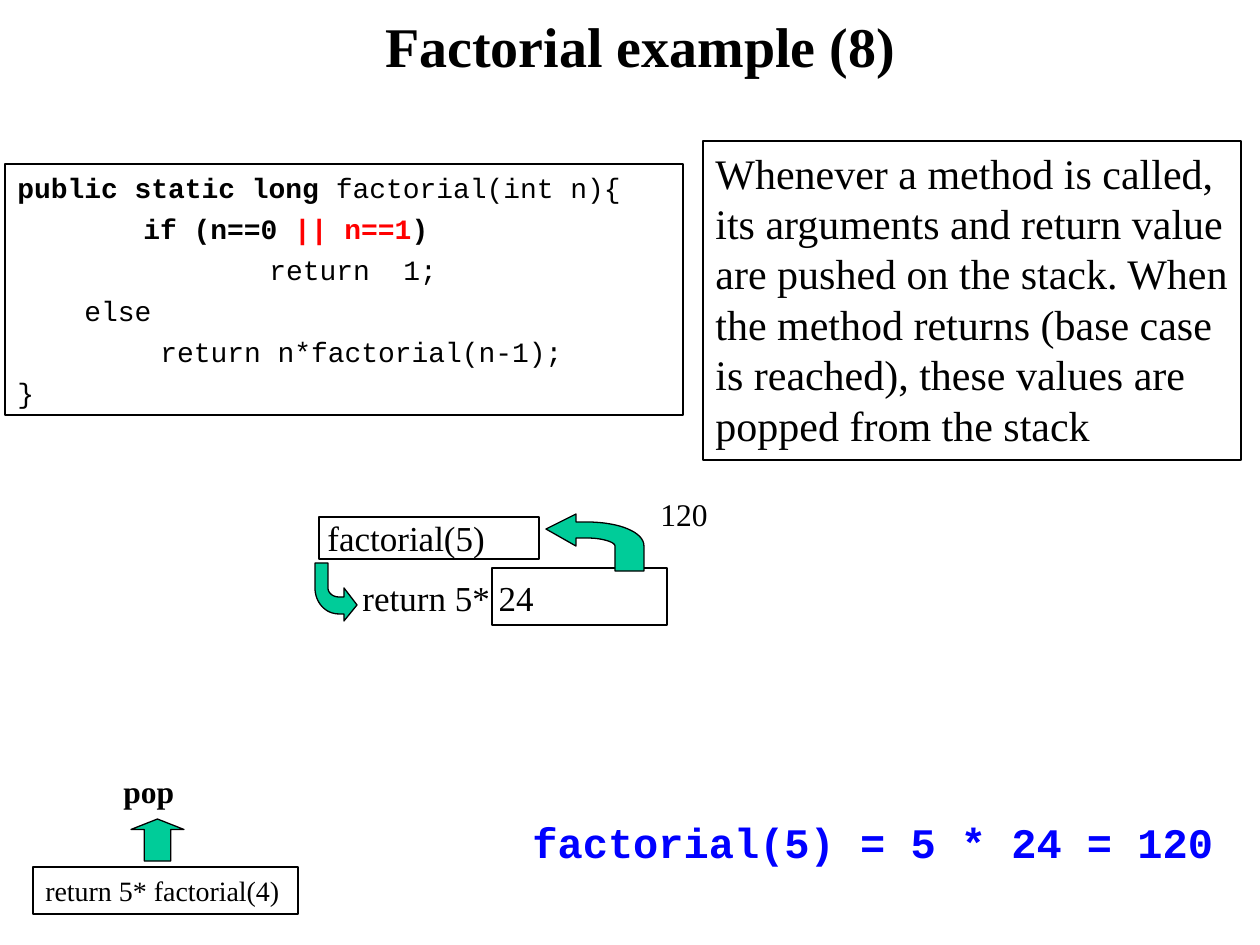
from pptx import Presentation
from pptx.dml.color import RGBColor
from pptx.enum.shapes import MSO_SHAPE as SHAPE
from pptx.enum.text import MSO_ANCHOR as ANCHOR, PP_ALIGN as ALIGN
from pptx.util import Emu, Pt

SCALE = 914400 / 126
COLORS = {"black": "000000", "white": "FFFFFF", "red": "FF0000",
          "blue": "0000FF", "green": "00CC99"}
SERIF, MONO = "Times New Roman", "Courier New"


def px(n):
    return Emu(round(n * SCALE))


def rgb(name):
    return RGBColor.from_string(COLORS[name])


def add_run(p, text, size, font=SERIF, color="black", bold=False):
    r = p.add_run()
    r.text = text
    r.font.size, r.font.name, r.font.bold = Pt(size), font, bold
    r.font.color.rgb = rgb(color)


def add_line(tf, runs, size, font=SERIF, before=0, indent=0, align=ALIGN.LEFT):
    """Add a paragraph; runs are (text, color, bold)."""
    p = tf.paragraphs[0] if not tf.paragraphs[0].runs else tf.add_paragraph()
    p.alignment, p.space_before = align, Pt(before)
    if indent:
        p._p.get_or_add_pPr().set("marL", str(px(indent)))
    for text, color, bold in runs:
        add_run(p, text, size, font, color, bold)


def paint(sp, fill=None, line="black"):
    sp.shadow.inherit = False
    if fill:
        sp.fill.solid()
        sp.fill.fore_color.rgb = rgb(fill)
    else:
        sp.fill.background()
    sp.line.color.rgb = rgb(line)
    sp.line.width = Pt(0.75)


def add_box(slide, x, y, w, h, line="black"):
    sp = slide.shapes.add_shape(SHAPE.RECTANGLE, px(x), px(y), px(w), px(h))
    paint(sp, line=line)
    tf = sp.text_frame
    tf.word_wrap, tf.vertical_anchor = True, ANCHOR.TOP
    return tf


def add_text(slide, x, y, w, h):
    tf = slide.shapes.add_textbox(px(x), px(y), px(w), px(h)).text_frame
    tf.word_wrap = True
    return tf


def curve(a, b, c, d, steps=16):
    """Points along a cubic curve from a to d."""
    points = []
    for i in range(steps + 1):
        t = i / steps
        u = 1 - t
        points.append(tuple(
            u**3 * m + 3 * u * u * t * n + 3 * u * t * t * o + t**3 * q
            for m, n, o, q in zip(a, b, c, d)))
    return points


def add_bent_arrow(slide, head, outer, tail, inner, neck):
    points = [(px(x), px(y)) for x, y in
              head + curve(*outer) + tail + curve(*inner) + neck]
    fb = slide.shapes.build_freeform(*points[0], scale=1.0)
    fb.add_line_segments(points[1:], close=True)
    paint(fb.convert_to_shape(), "green")


def add_title(slide, text):
    title = slide.shapes.title
    title.left, title.top, title.width, title.height = px(105), px(0), px(1071), px(91)
    title.text_frame.vertical_anchor = ANCHOR.MIDDLE
    add_line(title.text_frame, [(text, "black", True)], 32, align=ALIGN.CENTER)


def add_code(slide):
    lines = [
        (0, [("public static long", "black", True),
             (" factorial(int n){", "black", False)]),
        (126, [("if (n==0 ", "black", True), ("|| n==1", "red", True),
               (")", "black", True)]),
        (252, [("return  1;", "black", False)]),
        (67, [("else", "black", False)]),
        (143, [("return n*factorial(n-1);", "black", False)]),
        (0, [("}", "black", False)]),
    ]
    tf = add_box(slide, 5, 164, 678, 251)
    for indent, runs in lines:
        add_line(tf, runs, 16, MONO, before=4.3, indent=indent)


def add_call(slide):
    tf = add_text(slide, 315, 510, 551, 220)
    add_line(tf, [("factorial(5)", "black", False)], 20)
    add_line(tf, [("return 5* 24", "black", False)], 20, before=10.5, indent=35)
    add_box(slide, 492, 568, 175, 57)
    add_box(slide, 319, 517, 220, 42)
    # Call enters the method body
    add_bent_arrow(
        slide, [(357, 605), (344, 621), (344, 614)],
        [(339, 614), (325, 614), (315, 602), (315, 588)],
        [(315, 563), (328, 563)],
        [(328, 588), (328, 593), (333, 597), (339, 597)],
        [(344, 597), (344, 588)])
    # Result goes back to the caller
    add_bent_arrow(
        slide, [(546, 529), (576, 514), (576, 522)],
        [(587, 522), (619, 522), (644, 532), (644, 546)],
        [(644, 571), (615, 571)],
        [(615, 546), (615, 542), (602, 538), (587, 538)],
        [(576, 538), (576, 546)])
    tf = add_text(slide, 609, 489, 111, 50)
    add_line(tf, [("120", "black", False)], 18, align=ALIGN.RIGHT)


def add_stack(slide):
    tf = add_box(slide, 33, 867, 265, 47)
    add_line(tf, [("return 5* factorial(4)", "black", False)], 16)
    arrow = slide.shapes.add_shape(SHAPE.UP_ARROW, px(131), px(819), px(53), px(42))
    arrow.adjustments[0], arrow.adjustments[1] = 0.5, 0.25
    paint(arrow, "green")
    tf = add_text(slide, 111, 766, 105, 50)
    add_line(tf, [("pop", "black", True)], 18)


def main():
    prs = Presentation()
    prs.slide_width, prs.slide_height = px(1260), px(945)
    slide = prs.slides.add_slide(prs.slide_layouts[5])
    add_title(slide, "Factorial example (8)")
    add_code(slide)
    add_call(slide)
    # Explanation
    tf = add_box(slide, 703, 141, 538, 319)
    add_line(tf, [("Whenever a method is called, its arguments and return value "
                   "are pushed on the stack. When the method returns (base case "
                   "is reached), these values are popped from the stack",
                   "black", False)], 24)
    add_stack(slide)
    # Result
    tf = add_box(slide, 520, 810, 721, 64, line="white")
    add_line(tf, [("factorial(5) = 5 * 24 = 120", "blue", True)], 24, MONO, before=6)
    prs.save("out.pptx")


main()
